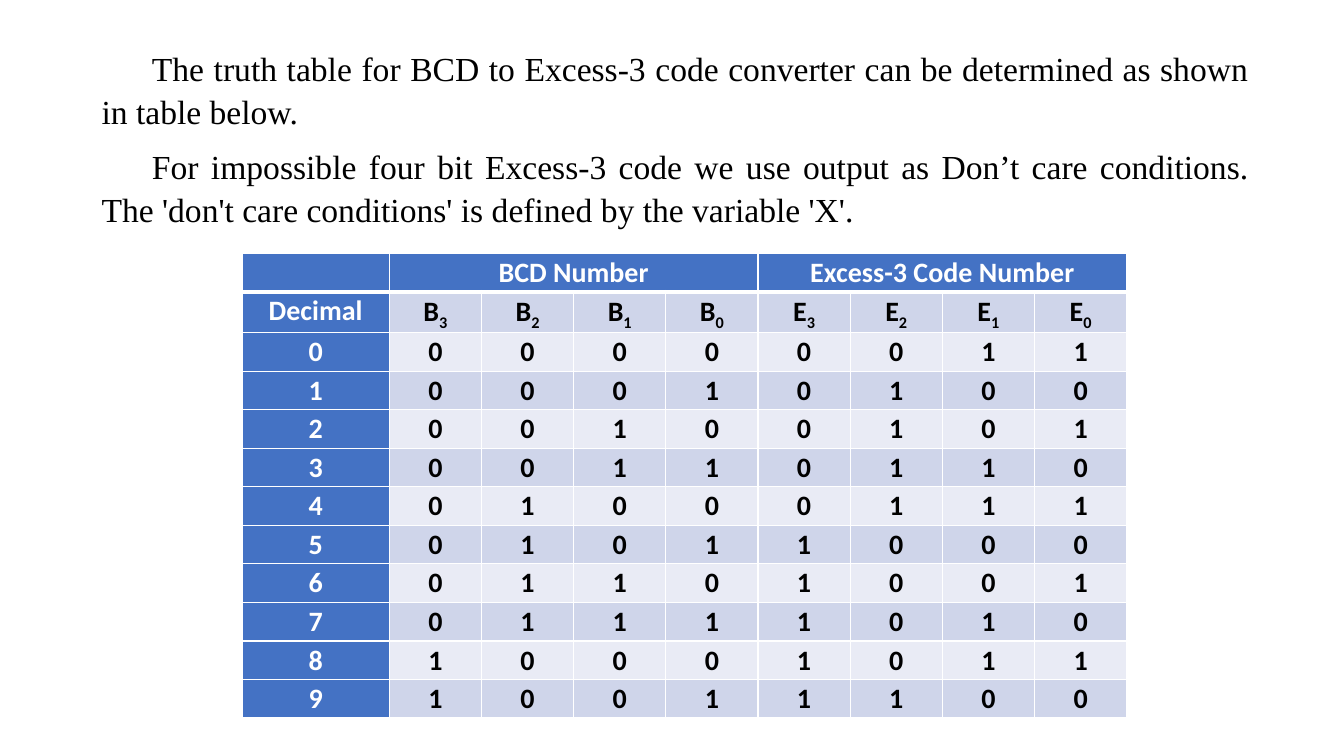
from lxml.etree import SubElement
from pptx import Presentation
from pptx.dml.color import RGBColor
from pptx.enum.text import MSO_AUTO_SIZE, PP_ALIGN
from pptx.oxml import parse_xml
from pptx.oxml.ns import nsdecls, qn
from pptx.util import Cm, Pt

BLACK = RGBColor(0x00, 0x00, 0x00)
WHITE = RGBColor(0xFF, 0xFF, 0xFF)
HEADER_BLUE = RGBColor(0x44, 0x72, 0xC4)
DARK_BAND = RGBColor(0xCF, 0xD5, 0xEA)
LIGHT_BAND = RGBColor(0xE9, 0xEB, 0xF5)

EXPLANATION = [
    "The truth table for BCD to Excess-3 code converter can be determined "
    "as shown in table below.",
    "For impossible four bit Excess-3 code we use output as Don’t care conditions. "
    "The 'don't care conditions' is defined by the variable 'X'.",
]
BITS = 4
DIGITS = range(10)
EXCESS = 3


def write(paragraph, text, *, subscript="", font="Calibri", size=20, color=BLACK,
          bold=False, align=PP_ALIGN.CENTER, indent=None, after=0):
    """Fill a paragraph with text and an optional subscript."""
    paragraph.alignment = align
    paragraph.line_spacing = 1.07
    paragraph.space_after = Pt(after)
    if indent is not None:
        properties = paragraph._p.get_or_add_pPr()
        properties.set("marL", "0")
        properties.set("indent", str(int(indent)))
    for part, baseline in ((text, None), (subscript, "-25000")):
        if not part:
            continue
        run = paragraph.add_run()
        run.text = part
        run.font.name = font
        run.font.size = Pt(size)
        run.font.bold = bold
        run.font.color.rgb = color
        if baseline:
            run._r.get_or_add_rPr().set("baseline", baseline)


def set_borders(cell, **widths):
    """Draw white cell borders; keys are L, R, T, B and values are points."""
    properties = cell._tc.get_or_add_tcPr()
    for index, (side, width) in enumerate(widths.items()):
        line = parse_xml(f'<a:ln{side} {nsdecls("a")} w="{int(Pt(width))}"/>')
        fill = SubElement(line, qn("a:solidFill"))
        SubElement(fill, qn("a:srgbClr"), val=str(WHITE))
        properties.insert(index, line)


def add_explanation(slide, left, top, width, height):
    frame = slide.shapes.add_textbox(left, top, width, height).text_frame
    frame.word_wrap = True
    frame.auto_size = MSO_AUTO_SIZE.SHAPE_TO_FIT_TEXT
    for number, sentence in enumerate(EXPLANATION):
        paragraph = frame.add_paragraph() if number else frame.paragraphs[0]
        write(paragraph, sentence, font="Times New Roman", size=24,
              align=PP_ALIGN.JUSTIFY, indent=Cm(1.27), after=8)


def truth_rows():
    """Return rows of (text, subscript) pairs, headings first."""
    gap = [("", "")] * (BITS - 1)
    groups = [("", ""), ("BCD Number", ""), *gap, ("Excess-3 Code Number", ""), *gap]
    names = [("Decimal", "")]
    names += [(letter, str(bit)) for letter in "BE" for bit in reversed(range(BITS))]
    rows = [groups, names]
    for digit in DIGITS:
        bits = f"{digit:04b}{digit + EXCESS:04b}"
        rows.append([(str(digit), "")] + [(bit, "") for bit in bits])
    return rows


def add_truth_table(slide, left, top, width, height):
    rows = truth_rows()
    columns = 1 + 2 * BITS
    table = slide.shapes.add_table(len(rows), columns, left, top, width, height).table
    table.first_col = True

    # Column widths and row heights
    decimal_width = Cm(3.71)
    table.columns[0].width = decimal_width
    for column in range(1, columns):
        table.columns[column].width = int((width - decimal_width) / (2 * BITS))
    for row in table.rows:
        row.height = int(height / len(rows))

    # Group headings span their bits
    for first in (1, 1 + BITS):
        table.cell(0, first).merge(table.cell(0, first + BITS - 1))

    # Cells
    for r, row in enumerate(rows):
        for c, (text, subscript) in enumerate(row):
            cell = table.cell(r, c)
            heading = r == 0 or c == 0
            cell.margin_left = cell.margin_right = Cm(0.18)
            cell.margin_top = cell.margin_bottom = 0
            cell.fill.solid()
            band = DARK_BAND if r % 2 else LIGHT_BAND
            cell.fill.fore_color.rgb = HEADER_BLUE if heading else band
            set_borders(cell, L=1, R=1, T=3 if r == 1 else 1, B=3 if r == 0 else 1)
            write(cell.text_frame.paragraphs[0], text, subscript=subscript,
                  color=WHITE if heading else BLACK, bold=True)


def main():
    presentation = Presentation()
    presentation.slide_width = Cm(33.87)
    presentation.slide_height = Cm(19.05)
    slide = presentation.slides.add_slide(presentation.slide_layouts[6])
    add_explanation(slide, Cm(2.31), Cm(1.02), Cm(29.41), Cm(4.88))
    add_truth_table(slide, Cm(6.1), Cm(6.38), Cm(22.3), Cm(11.66))
    presentation.save("out.pptx")


if __name__ == "__main__":
    main()
